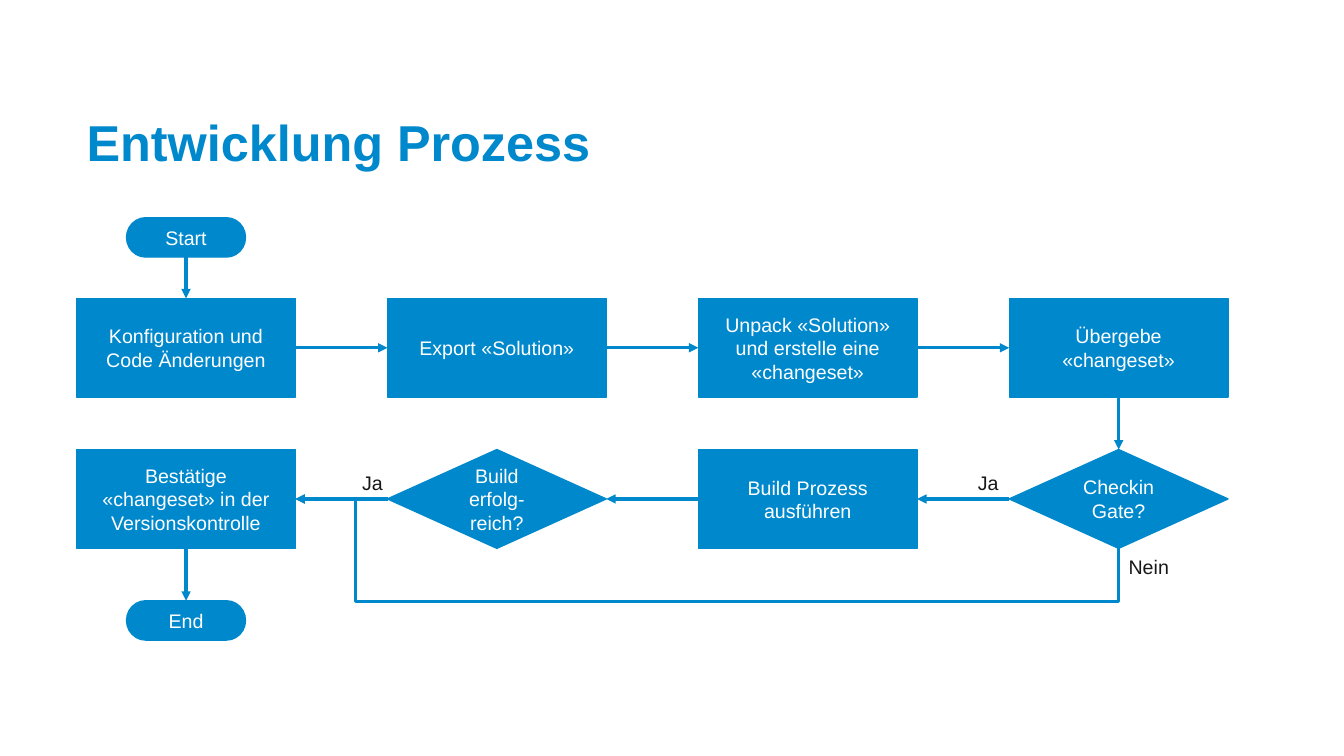
from dataclasses import dataclass

from lxml.etree import SubElement
from pptx import Presentation
from pptx.dml.color import RGBColor
from pptx.enum.shapes import MSO_CONNECTOR as Connector, MSO_SHAPE as Shape
from pptx.enum.text import MSO_ANCHOR as Anchor, MSO_AUTO_SIZE as AutoSize, PP_ALIGN as Align
from pptx.oxml.ns import qn
from pptx.util import Inches, Pt


@dataclass(frozen=True)
class Theme:
    font: str = "Arial"
    blue: RGBColor = RGBColor(0x00, 0x88, 0xCC)
    white: RGBColor = RGBColor(0xFF, 0xFF, 0xFF)
    dark: RGBColor = RGBColor(0x18, 0x18, 0x18)
    title_size: int = 36
    body_size: int = 14
    outline: float = 1
    arrow: float = 2.25


THEME = Theme()
TOP, LEFT, BOTTOM, RIGHT = range(4)
NODE_WIDTH, NODE_HEIGHT = 2.17, 0.98
TERMINAL_WIDTH, TERMINAL_HEIGHT = 1.18, 0.39
LABEL_HEIGHT = 0.34


def write_text(shape, text, size=THEME.body_size, color=THEME.white, bold=False,
               align=Align.LEFT, anchor=Anchor.TOP, wrap=True, spacing=None):
    frame = shape.text_frame
    frame.word_wrap = wrap
    frame.vertical_anchor = anchor
    paragraph = frame.paragraphs[0]
    paragraph.alignment = align
    paragraph.line_spacing = spacing
    run = paragraph.add_run()
    run.text = text
    run.font.name = THEME.font
    run.font.size = Pt(size)
    run.font.bold = bold
    run.font.color.rgb = color


def add_node(slide, kind, text, left, top, width=NODE_WIDTH, height=NODE_HEIGHT):
    shape = slide.shapes.add_shape(kind, Inches(left), Inches(top), Inches(width), Inches(height))
    shape.shadow.inherit = False
    shape.fill.solid()
    shape.fill.fore_color.rgb = THEME.blue
    shape.line.color.rgb = THEME.blue
    shape.line.width = Pt(THEME.outline)
    write_text(shape, text, align=Align.CENTER, anchor=Anchor.MIDDLE)
    return shape


def add_label(slide, text, left, top, width):
    label = slide.shapes.add_textbox(Inches(left), Inches(top), Inches(width), Inches(LABEL_HEIGHT))
    write_text(label, text, color=THEME.dark, wrap=False)
    label.text_frame.auto_size = AutoSize.SHAPE_TO_FIT_TEXT


def add_arrow(slide, start, start_side, end, end_side, kind=Connector.STRAIGHT):
    connector = slide.shapes.add_connector(kind, 0, 0, 0, 0)
    connector.begin_connect(start, start_side)
    connector.end_connect(end, end_side)
    connector.line.color.rgb = THEME.blue
    connector.line.width = Pt(THEME.arrow)
    line = connector.line._get_or_add_ln()
    SubElement(line, qn("a:tailEnd"), type="triangle")
    SubElement(connector._element.spPr, qn("a:effectLst"))
    return connector


def add_return_arrow(slide, start, end, drop, turn_x):
    connector = add_arrow(slide, start, BOTTOM, end, RIGHT, Connector.ELBOW)
    start_x, start_y = start.left + start.width // 2, start.top + start.height
    end_x, end_y = end.left + end.width, end.top + end.height // 2
    span, rise = start_x - end_x, start_y - end_y
    connector.left = (start_x + end_x - rise) // 2
    connector.top = (start_y + end_y - span) // 2
    connector.width, connector.height = rise, span

    properties = connector._element.spPr
    transform = properties.find(qn("a:xfrm"))
    transform.attrib.pop("flipV", None)
    transform.set("rot", "5400000")
    transform.set("flipH", "1")
    geometry = properties.find(qn("a:prstGeom"))
    geometry.set("prst", "bentConnector4")
    guides = geometry.find(qn("a:avLst"))
    ratios = (-Inches(drop) / rise, (start_x - Inches(turn_x)) / span)
    for number, ratio in enumerate(ratios, 1):
        SubElement(guides, qn("a:gd"), name=f"adj{number}", fmla=f"val {round(ratio * 100000)}")


def draw_title(slide, left, top, width, height):
    title = slide.shapes.add_textbox(Inches(left), Inches(top), Inches(width), Inches(height))
    write_text(title, "Entwicklung Prozess", size=THEME.title_size, color=THEME.blue,
               bold=True, anchor=Anchor.BOTTOM, spacing=0.8)


def draw_flow(slide, left, top, width, height):
    pitch = (width - NODE_WIDTH) / 3
    columns = [left + pitch * index for index in range(4)]
    upper, lower = top + 0.8, top + 2.3
    terminal_left = left + (NODE_WIDTH - TERMINAL_WIDTH) / 2

    start, end = [
        add_node(slide, Shape.FLOWCHART_TERMINATOR, text, terminal_left, y,
                 TERMINAL_WIDTH, TERMINAL_HEIGHT)
        for text, y in (("Start", top), ("End", top + height - TERMINAL_HEIGHT))
    ]
    upper_steps = [
        add_node(slide, Shape.FLOWCHART_PROCESS, text, x, upper)
        for x, text in zip(columns, (
            "Konfiguration und Code Änderungen",
            "Export «Solution»",
            "Unpack «Solution» und erstelle eine «changeset»",
            "Übergebe «changeset»",
        ))
    ]
    lower_steps = [
        add_node(slide, kind, text, x, lower)
        for x, (kind, text) in zip(columns, (
            (Shape.FLOWCHART_PROCESS, "Bestätige «changeset» in der Versionskontrolle"),
            (Shape.FLOWCHART_DECISION, "Build erfolg-reich?"),
            (Shape.FLOWCHART_PROCESS, "Build Prozess ausführen"),
            (Shape.FLOWCHART_DECISION, "Checkin Gate?"),
        ))
    ]

    add_return_arrow(slide, lower_steps[-1], lower_steps[0], 0.53, columns[1] - 0.32)
    for before, after in zip(upper_steps, upper_steps[1:]):
        add_arrow(slide, before, RIGHT, after, LEFT)
    for after, before in zip(lower_steps, lower_steps[1:]):
        add_arrow(slide, before, LEFT, after, RIGHT)
    for before, after in ((start, upper_steps[0]), (upper_steps[-1], lower_steps[-1]),
                          (lower_steps[0], end)):
        add_arrow(slide, before, BOTTOM, after, TOP)

    add_label(slide, "Ja", columns[3] - 0.41, lower + 0.16, 0.41)
    add_label(slide, "Ja", columns[1] - 0.35, lower + 0.16, 0.41)
    add_label(slide, "Nein", columns[3] + NODE_WIDTH / 2, lower + NODE_HEIGHT + 0.02, 0.61)


def main():
    presentation = Presentation()
    presentation.slide_width = Inches(13.33)
    presentation.slide_height = Inches(7.5)
    slide = presentation.slides.add_slide(presentation.slide_layouts[6])
    draw_title(slide, 0.76, 0.58, 11.89, 1.17)
    draw_flow(slide, 0.76, 2.16, 11.42, 4.19)
    presentation.save("out.pptx")


if __name__ == "__main__":
    main()
